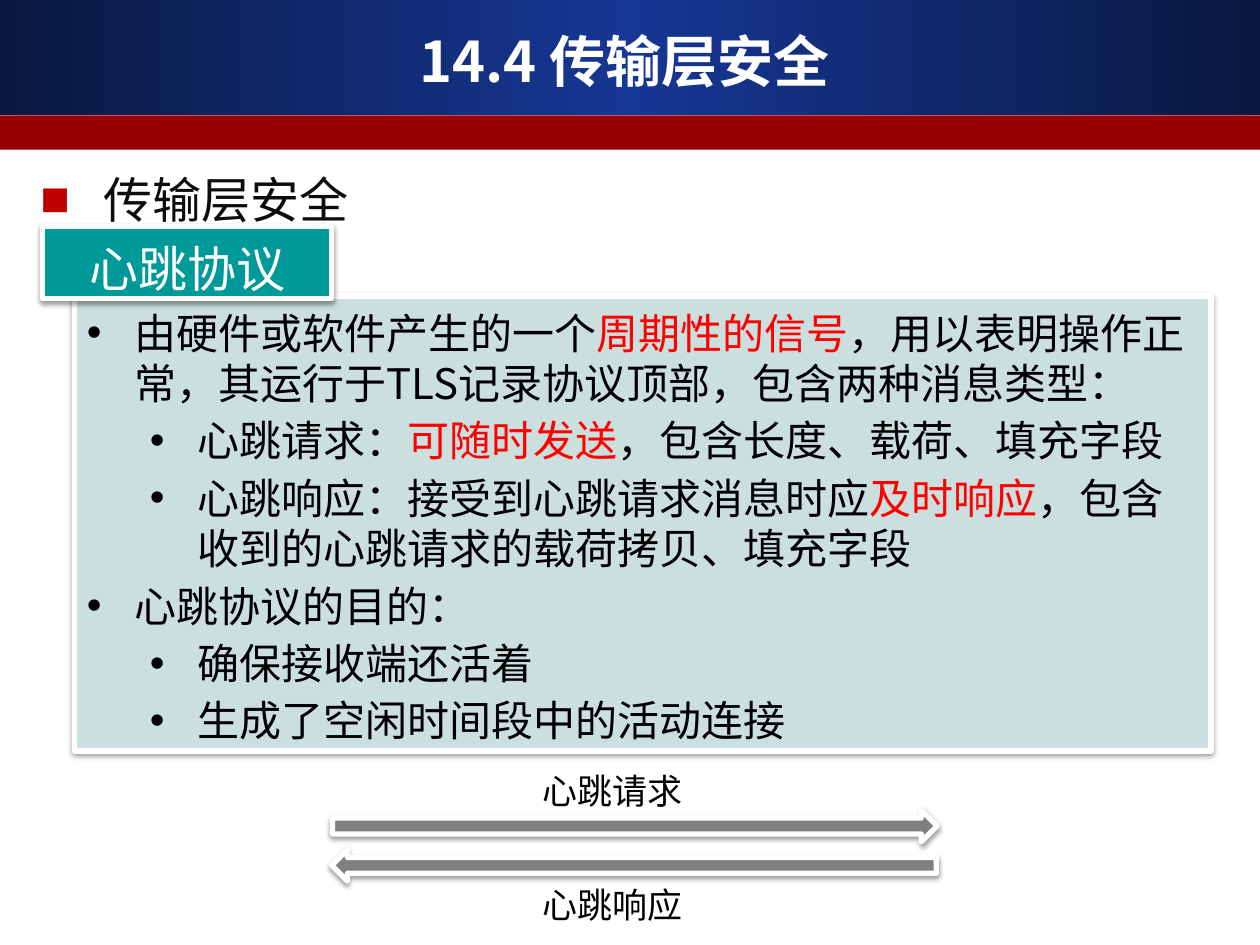
from copy import deepcopy

from lxml import etree
from pptx import Presentation
from pptx import util as u
from pptx.dml.color import RGBColor
from pptx.enum import shapes, text
from pptx.oxml import ns

FONT = "Noto Sans CJK SC"
RED = "FF0000"
RECT = shapes.MSO_SHAPE.RECTANGLE
ARROW = shapes.MSO_SHAPE.RIGHT_ARROW
CENTER = text.PP_ALIGN.CENTER

BODY = [
    (0, [("由硬件或软件产生的一个", None), ("周期性的信号", RED),
         ("，用以表明操作正常，其运行于TLS记录协议顶部，包含两种消息类型：", None)]),
    (1, [("心跳请求：", None), ("可随时发送", RED),
         ("，包含长度、载荷、填充字段", None)]),
    (1, [("心跳响应：接受到心跳请求消息时应", None), ("及时响应", RED),
         ("，包含收到的心跳请求的载荷拷贝、填充字段", None)]),
    (0, [("心跳协议的目的：", None)]),
    (1, [("确保接收端还活着", None)]),
    (1, [("生成了空闲时间段中的活动连接", None)]),
]


def rgb(value):
    """Return the colour for a hex string."""
    return RGBColor.from_string(value)


def apply(obj, fmt):
    """Set attributes from a dict of format values."""
    for name, value in fmt.items():
        setattr(obj, name, value)


def add_xml(parent, tag, **attrs):
    """Append a DrawingML child element and return it."""
    return etree.SubElement(parent, ns.qn("a:" + tag), attrs)


def place(sp, box):
    """Move and size a shape to a box given in points."""
    names = ("left", "top", "width", "height")
    apply(sp, {n: u.Pt(v) for n, v in zip(names, box)})


def paint(sp, fill, line=0, shadow=False):
    """Give a shape its fill, white outline and soft shadow."""
    sp.fill.solid()
    sp.fill.fore_color.rgb = rgb(fill)
    if line:
        sp.line.color.rgb = rgb("FFFFFF")
        sp.line.width = u.Pt(line)
    else:
        sp.line.fill.background()
    if shadow:
        effects = add_xml(sp._element.spPr, "effectLst")
        outer = add_xml(effects, "outerShdw", blurRad=str(u.Pt(3.1)),
                        dist=str(u.Pt(1.6)), dir="5400000", rotWithShape="0")
        add_xml(add_xml(outer, "srgbClr", val="000000"), "alpha", val="38000")


def add_block(slide, kind, box, fill, line=0, shadow=False):
    """Add a painted preset shape."""
    sp = slide.shapes.add_shape(kind, *map(u.Pt, box))
    if not shadow:
        sp.shadow.inherit = False
    paint(sp, fill, line, shadow)
    return sp


def add_band(slide, box, edge, middle):
    """Add a band with a gradient from edge to middle and back."""
    sp = add_block(slide, RECT, box, edge)
    sp.fill.gradient()
    sp.fill.gradient_angle = 0
    first = sp._element.spPr.find(".//" + ns.qn("a:gs"))
    first.addnext(deepcopy(first))
    for stop, pos, color in zip(sp.fill.gradient_stops, (0, 0.5, 1),
                                (edge, middle, edge)):
        stop.color.rgb = rgb(color)
        stop.position = pos


def set_frame(sp, size):
    """Prepare a top-anchored text frame for its text size."""
    apply(sp.text_frame, {
        "word_wrap": True, "auto_size": text.MSO_AUTO_SIZE.NONE,
        "vertical_anchor": text.MSO_ANCHOR.TOP,
        "margin_top": u.Pt(3.6 + 0.11 * size), "margin_bottom": 0})
    return sp.text_frame


def add_run(p, words, size, color, bold=False):
    """Add a run in the slide font."""
    r = p.add_run()
    r.text = words
    apply(r.font, {"name": FONT, "size": u.Pt(size), "bold": bold})
    r.font.color.rgb = rgb(color)
    r.font._element.find(ns.qn("a:latin")).addnext(
        r.font._element.makeelement(ns.qn("a:ea"), {"typeface": FONT}))


def format_line(p, size, align=text.PP_ALIGN.LEFT, after=0):
    """Set alignment and spacing of a paragraph."""
    apply(p, {"alignment": align, "line_spacing": u.Pt(1.2 * size),
              "space_before": u.Pt(0), "space_after": u.Pt(after)})


def set_bullet(p, char, indent, hang, color):
    """Give a paragraph a hanging bullet."""
    pPr = p._p.get_or_add_pPr()
    pPr.set("marL", str(u.Pt(indent)))
    pPr.set("indent", str(-u.Pt(hang)))
    add_xml(add_xml(pPr, "buClr"), "srgbClr", val=color)
    add_xml(pPr, "buFont", typeface="Arial")
    add_xml(pPr, "buChar", char=char)


def write_line(sp, words, size, color, align=text.PP_ALIGN.LEFT):
    """Write a single line into a shape and return its paragraph."""
    p = set_frame(sp, size).paragraphs[0]
    format_line(p, size, align)
    add_run(p, words, size, color)
    return p


def fill_title(slide, words):
    """Format the title placeholder and bring it above the bands."""
    sp = slide.shapes.title
    place(sp, (24, 12, 666, 45))
    tf = sp.text_frame
    apply(tf, {"vertical_anchor": text.MSO_ANCHOR.MIDDLE,
               "auto_size": text.MSO_AUTO_SIZE.NONE})
    tf.paragraphs[0].alignment = CENTER
    add_run(tf.paragraphs[0], words, 32, "FFFFFF", True)
    slide.shapes._spTree.append(sp._element)


def fill_body(sp, items):
    """Format the body placeholder as the bulleted panel."""
    place(sp, (42.5, 169.2, 649.5, 260))
    paint(sp, "CCDFDF", 3, True)
    tf = set_frame(sp, 24)
    for i, (level, runs) in enumerate(items):
        p = tf.add_paragraph() if i else tf.paragraphs[0]
        p.level = level
        format_line(p, 24, after=4)
        set_bullet(p, "•", 27 + 36 * level, 27, "000000")
        for words, color in runs:
            add_run(p, words, 24, color or "000000")


def add_message(slide, words, label_top, arrow_box, rotation):
    """Add a message arrow with its label."""
    sp = add_block(slide, ARROW, arrow_box, "808080", 3, True)
    sp.rotation = rotation
    label = slide.shapes.add_textbox(*map(u.Pt, (303, label_top, 127.5, 31.5)))
    write_line(label, words, 20, "000000")


def main():
    """Build the slide and save it."""
    prs = Presentation()
    apply(prs, {"slide_width": u.Pt(720), "slide_height": u.Pt(540)})
    slide = prs.slides.add_slide(prs.slide_layouts[1])
    add_band(slide, (0, 0, 720, 65.5), "0A1840", "163794")
    add_block(slide, RECT, (0, 66, 720, 19.5), "990000")
    fill_title(slide, "14.4 传输层安全")
    fill_body(slide.placeholders[1], BODY)
    heading = add_block(slide, RECT, (16, 90, 649.5, 41), "FFFFFF", 2)
    p = write_line(heading, "传输层安全", 28, "0D0D0D")
    set_bullet(p, "■", 36, 36, "C00000")
    tab = add_block(slide, RECT, (24.5, 129.6, 165, 41), "009999", 3, True)
    write_line(tab, "心跳协议", 28, "FFFFFF", CENTER)
    add_message(slide, "心跳请求", 434, (190, 463, 345.5, 18), 0)
    add_message(slide, "心跳响应", 499, (189.5, 485.5, 345.5, 18), 180)
    prs.save("out.pptx")


if __name__ == "__main__":
    main()
